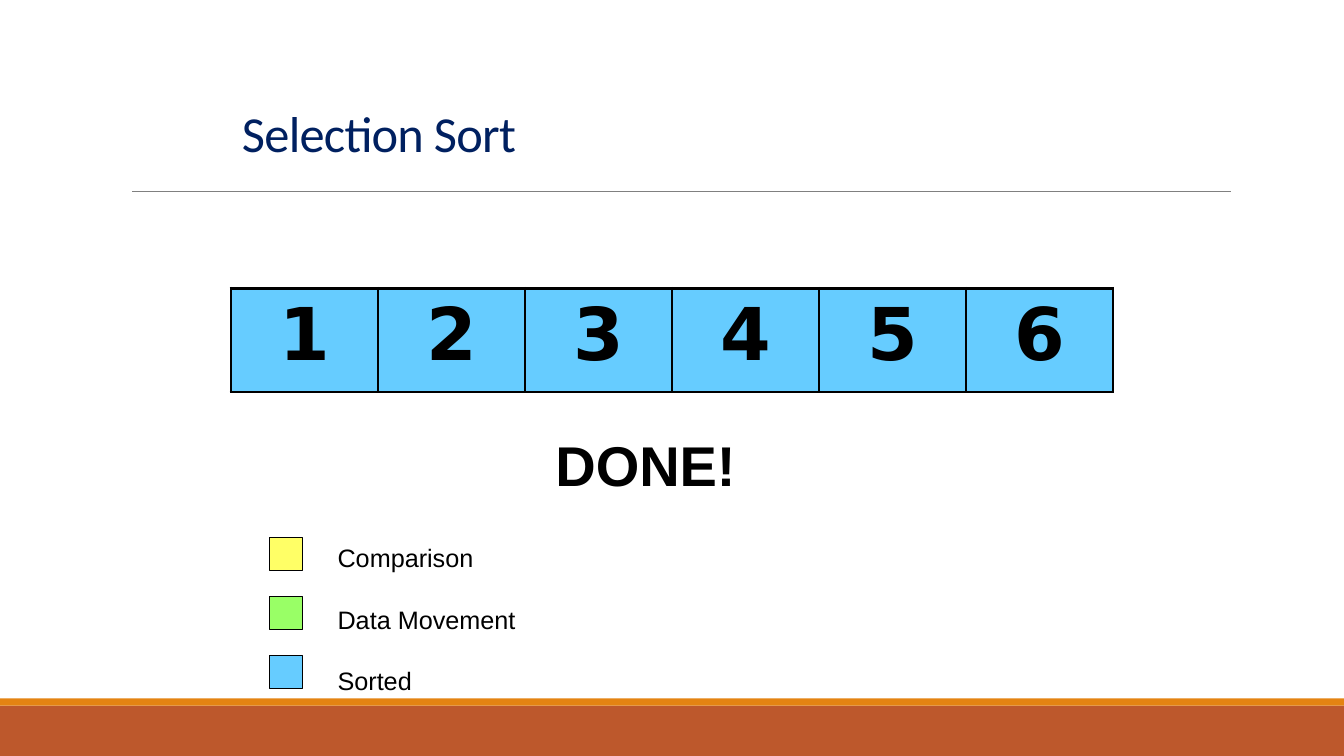
from lxml.etree import SubElement
from pptx import Presentation
from pptx.dml.color import RGBColor
from pptx.enum.shapes import MSO_CONNECTOR, MSO_SHAPE
from pptx.enum.text import MSO_ANCHOR, PP_ALIGN
from pptx.oxml.ns import qn
from pptx.util import Inches, Pt

# Content
TITLE = "Selection Sort"
SORTED_VALUES = ["1", "2", "3", "4", "5", "6"]
MESSAGE = "DONE!"
BLACK, NAVY, GREY, BLUE = "000000", "002060", "808080", "66CCFF"
LEGEND = [("Comparison", "FFFF66"), ("Data Movement", "99FF66"), ("Sorted", BLUE)]
FOOTER_BANDS = [(7, 0.5, "BD582C"), (6.93, 0.07, "E48312")]  # top, height, colour

# Layout in inches
SLIDE_WIDTH, SLIDE_HEIGHT = 13.33, 7.5
ARRAY_LEFT, ARRAY_TOP, ARRAY_WIDTH, ARRAY_HEIGHT = 2.29, 2.86, 8.75, 1.03
KEY_LEFT, KEY_TOP, KEY_SIZE, KEY_STEP = 2.67, 5.33, 0.33, 0.585
OUTER_BORDER, INNER_BORDER = 2.25, 1  # points


def color(value):
    return RGBColor.from_string(value)


def style_font(font, name, size, value, bold=False):
    font.name, font.size, font.bold = name, Pt(size), bold
    font.color.rgb = color(value)


def add_rectangle(left, top, width, height, fill, outline=None):
    shape = page.shapes.add_shape(
        MSO_SHAPE.RECTANGLE, Inches(left), Inches(top), Inches(width), Inches(height))
    shape.shadow.inherit = False
    shape.fill.solid()
    shape.fill.fore_color.rgb = color(fill)
    if outline:
        shape.line.color.rgb = color(outline)
        shape.line.width = Pt(0.75)
    else:
        shape.line.fill.background()


def add_text(left, top, width, height, lines, size, bold=False, gap=0):
    box = page.shapes.add_textbox(Inches(left), Inches(top), Inches(width), Inches(height))
    frame = box.text_frame
    frame.word_wrap = False
    frame.text = "\n".join(lines)
    for index, para in enumerate(frame.paragraphs):
        if index:
            para.space_before = Pt(gap)
        for span in para.runs:
            style_font(span.font, "Arial", size, BLACK, bold)


def add_borders(cell, widths):
    properties = cell._tc.get_or_add_tcPr()
    for side, width in widths.items():
        line = SubElement(properties, qn(f"a:ln{side}"), w=str(Pt(width)))
        fill = SubElement(line, qn("a:solidFill"))
        SubElement(fill, qn("a:srgbClr"), val=BLACK)


deck = Presentation()
deck.slide_width, deck.slide_height = Inches(SLIDE_WIDTH), Inches(SLIDE_HEIGHT)
page = deck.slides.add_slide(deck.slide_layouts[5])

# Footer bands and rule under the title
for top, height, fill in FOOTER_BANDS:
    add_rectangle(0, top, SLIDE_WIDTH, height, fill)
rule = page.shapes.add_connector(
    MSO_CONNECTOR.STRAIGHT, Inches(1.31), Inches(1.9), Inches(12.21), Inches(1.9))
rule.line.color.rgb = color(GREY)
rule.line.width = Pt(0.5)
SubElement(rule._element.spPr, qn("a:effectLst"))

# Title
title = page.shapes.title
title.left, title.top = Inches(2.3), Inches(0.84)
title.width, title.height = Inches(8.75), Inches(0.83)
title.text_frame.text = TITLE
title.text_frame.vertical_anchor = MSO_ANCHOR.BOTTOM
title_para = title.text_frame.paragraphs[0]
title_para.alignment = PP_ALIGN.LEFT
title_para.line_spacing = 0.85
title_span = title_para.runs[0]
style_font(title_span.font, "Calibri", 36, NAVY)
title_span._r.get_or_add_rPr().set("spc", "-50")

# Sorted array
count = len(SORTED_VALUES)
array = page.shapes.add_table(
    1, count, Inches(ARRAY_LEFT), Inches(ARRAY_TOP),
    Inches(ARRAY_WIDTH), Inches(ARRAY_HEIGHT)).table
array.first_row = array.horz_banding = False
for index, value in enumerate(SORTED_VALUES):
    array.columns[index].width = Inches(ARRAY_WIDTH / count)
    cell = array.cell(0, index)
    add_borders(cell, {
        "L": OUTER_BORDER if index == 0 else INNER_BORDER,
        "R": OUTER_BORDER if index == count - 1 else INNER_BORDER,
        "T": OUTER_BORDER,
        "B": OUTER_BORDER,
    })
    cell.fill.solid()
    cell.fill.fore_color.rgb = color(BLUE)
    cell.text_frame.text = value
    para = cell.text_frame.paragraphs[0]
    para.alignment = PP_ALIGN.CENTER
    style_font(para.runs[0].font, "DejaVu Sans", 52, BLACK, bold=True)

# Legend and closing message
for index, (label, fill) in enumerate(LEGEND):
    add_rectangle(KEY_LEFT, KEY_TOP + index * KEY_STEP, KEY_SIZE, KEY_SIZE, fill, BLACK)
add_text(3.25, KEY_TOP, 1.97, 1.6, [label for label, fill in LEGEND], 18, gap=22.5)
add_text(5.41, 4.22, 1.99, 0.77, [MESSAGE], 40, bold=True)

deck.save("out.pptx")
